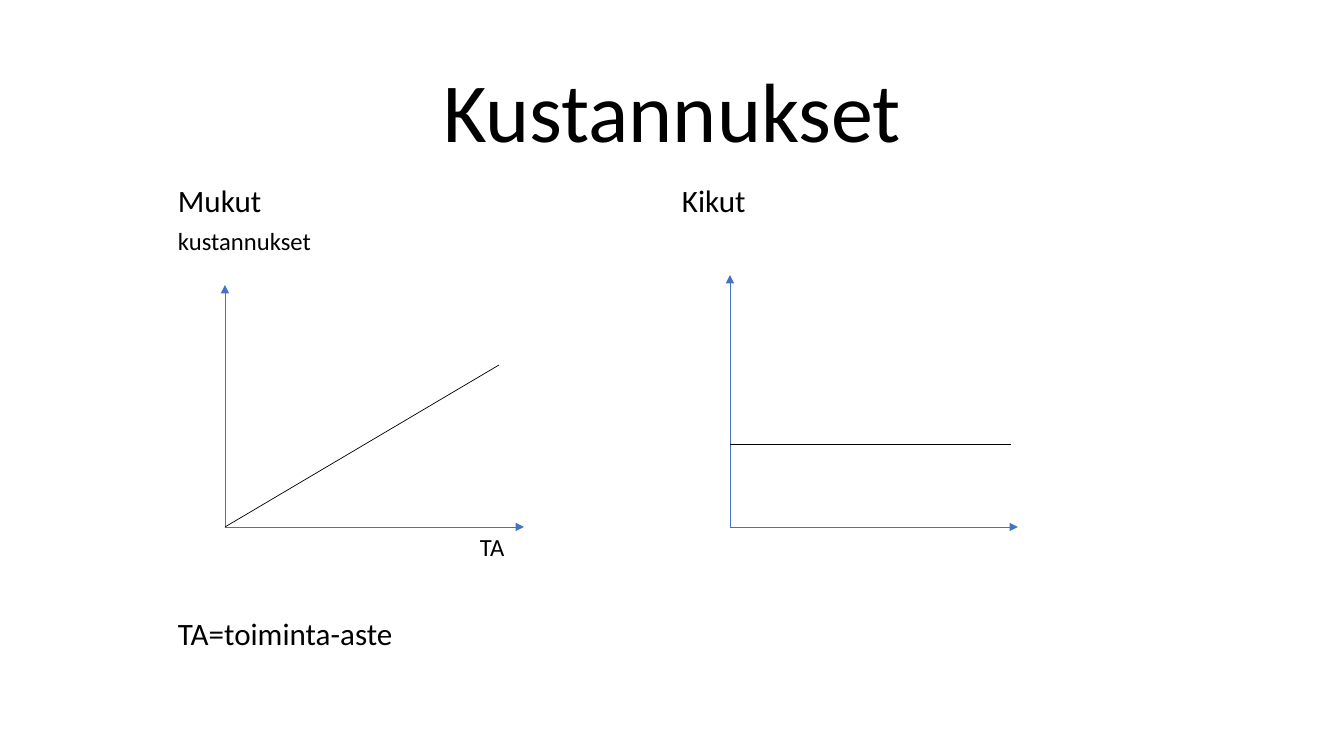
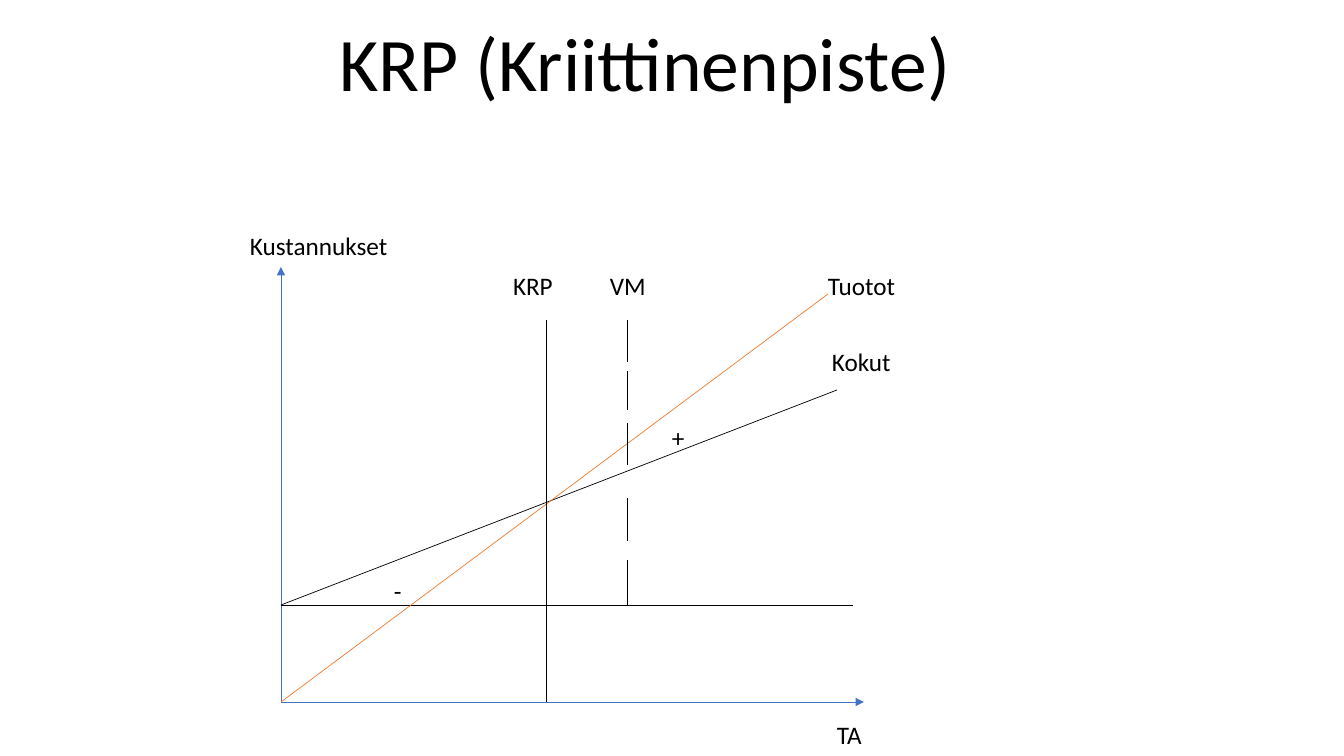
from pptx import Presentation
from pptx.dml.color import RGBColor
from pptx.enum.shapes import MSO_CONNECTOR
from pptx.enum.text import MSO_ANCHOR, PP_ALIGN
from pptx.oxml.ns import qn
from pptx.util import Pt
from lxml import etree

STRAIGHT = MSO_CONNECTOR.STRAIGHT
MIDDLE, BOTTOM = MSO_ANCHOR.MIDDLE, MSO_ANCHOR.BOTTOM
LEFT, CENTER = PP_ALIGN.LEFT, PP_ALIGN.CENTER
PX = 914400 / 100.8
FONT = "Calibri"
COLORS = {"text": "000000", "axis": "4472C4", "cost": "000000", "revenue": "ED7D31"}


def add_text(s, text, box, size, align=LEFT, anchor=MIDDLE):
    sp = s.shapes.add_textbox(*[round(v * PX) for v in box])
    tf = sp.text_frame
    tf.margin_left = tf.margin_right = tf.margin_top = tf.margin_bottom = 0
    tf.word_wrap = True
    tf.vertical_anchor = anchor
    tf.text = text
    p = tf.paragraphs[0]
    p.alignment = align
    p.line_spacing = 0.9 if anchor == BOTTOM else 1.0
    r = p.runs[0]
    r.font.name = FONT
    r.font.size = Pt(size)
    r.font.color.rgb = RGBColor.from_string(COLORS["text"])


def add_line(s, color, points):
    c = s.shapes.add_connector(STRAIGHT, *[round(v * PX) for v in points])
    c.line.width = Pt(0.5)
    c.line.color.rgb = RGBColor.from_string(COLORS[color])
    if color == "axis":
        etree.SubElement(c.line._get_or_add_ln(), qn("a:tailEnd"), type="triangle")
    etree.SubElement(c._element.spPr, qn("a:effectLst"))


prs = Presentation()
prs.slide_width, prs.slide_height = round(1344 * PX), round(756 * PX)

slides = [
    {
        "title": ("Kustannukset", (168, 36, 1008, 125), 60),
        "labels": [
            ("Mukut", 178, 202, 22.2),
            ("Kikut", 682, 202, 22.2),
            ("kustannukset", 178, 243, 17.6),
            ("TA", 480, 549, 17.6),
            ("TA=toiminta-aste", 178, 635, 22.2),
        ],
        "lines": [
            ("axis", (225, 527, 225, 285)),
            ("axis", (225, 527, 524, 527)),
            ("cost", (225, 527, 499, 365)),
            ("axis", (730, 527, 730, 275)),
            ("axis", (730, 527, 1018, 527)),
            ("cost", (730, 444, 1011, 444)),
        ],
    },
    {
        "title": ("KRP (Kriittinenpiste)", (141, 18, 1008, 90), 54),
        "labels": [
            ("Kustannukset", 250, 247, 18),
            ("KRP", 513, 287, 18),
            ("VM", 610, 287, 18),
            ("Tuotot", 828, 287, 18),
            ("Kokut", 832, 363, 18),
            ("+", 672, 439, 18),
            ("-", 394, 592, 18),
            ("TA", 837, 736, 18),
        ],
        "lines": [
            ("axis", (281, 702, 281, 267)),
            ("axis", (281, 702, 864, 702)),
            ("cost", (281, 605, 853, 605)),
            ("cost", (281, 605, 837, 390)),
            ("revenue", (281, 702, 828, 294)),
            ("cost", (546, 320, 546, 702)),
        ] + [
            ("cost", (627, top, 627, bottom))
            for top, bottom in [(320, 362), (371, 410), (423, 465), (498, 541), (560, 605)]
        ],
    },
]

for content in slides:
    s = prs.slides.add_slide(prs.slide_layouts[6])
    title, box, size = content["title"]
    add_text(s, title, box, size, CENTER, BOTTOM)
    for label, x, y, size in content["labels"]:
        add_text(s, label, (x, y - 18, 20 + 16 * len(label), 32), size)
    for color, points in content["lines"]:
        add_line(s, color, points)

prs.save("out.pptx")
